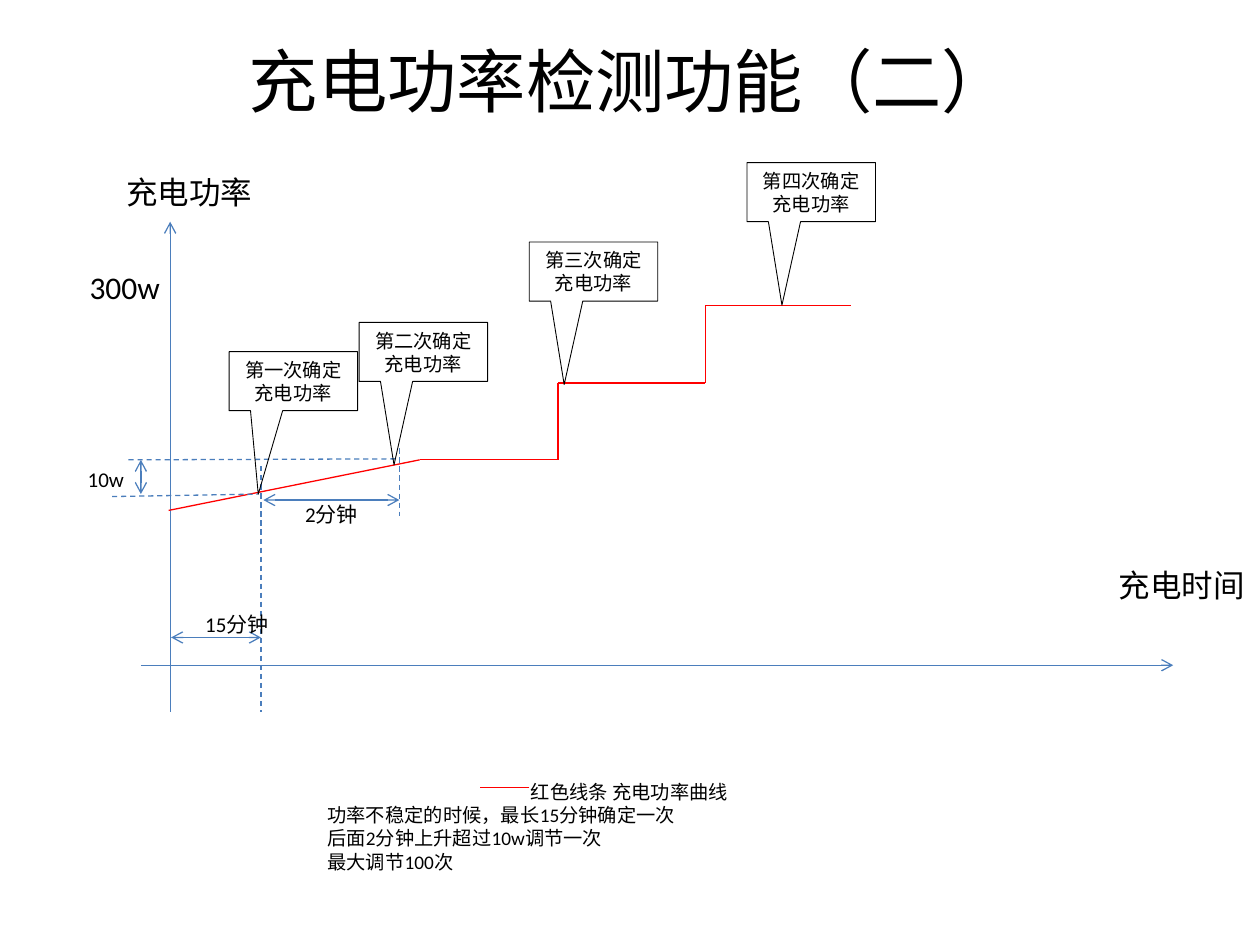
from dataclasses import dataclass
from itertools import pairwise

from lxml import etree
from pptx import Presentation
from pptx.dml.color import RGBColor
from pptx.enum.dml import MSO_LINE
from pptx.enum.shapes import MSO_CONNECTOR, MSO_SHAPE
from pptx.enum.text import MSO_ANCHOR, PP_ALIGN
from pptx.oxml.ns import qn
from pptx.util import Cm, Pt

STRAIGHT = MSO_CONNECTOR.STRAIGHT
CALLOUT = MSO_SHAPE.RECTANGULAR_CALLOUT
DASH = MSO_LINE.DASH
TOP, MIDDLE = MSO_ANCHOR.TOP, MSO_ANCHOR.MIDDLE
LEFT, CENTER = PP_ALIGN.LEFT, PP_ALIGN.CENTER


@dataclass(frozen=True)
class Theme:
    font: str = "Calibri"
    ink: RGBColor = RGBColor(0, 0, 0)
    axis: RGBColor = RGBColor(0x4B, 0x7E, 0xBC)
    curve: RGBColor = RGBColor(0xFF, 0, 0)
    title: float = 39.6
    label: float = 18
    measure: float = 12
    note: float = 11
    stroke: float = 0.75
    outline: float = 0.5


THEME = Theme()


def write_text(shape, text, *, size, align=CENTER, anchor=MIDDLE):
    frame = shape.text_frame
    frame.word_wrap = True
    frame.vertical_anchor = anchor
    frame.text = text
    for para in frame.paragraphs:
        para.alignment = align
        for span in para.runs:
            span.font.name = THEME.font
            span.font.size = Pt(size)
            span.font.color.rgb = THEME.ink


def add_title(page, text):
    title = page.shapes.title
    title.left, title.top, title.width, title.height = map(Cm, (1.27, 0.76, 22.86, 3.18))
    write_text(title, text, size=THEME.title, anchor=TOP)
    title.text_frame.margin_top = 0


def add_label(page, text, place, **style):
    box = page.shapes.add_textbox(*map(Cm, place))
    write_text(box, text, **style)
    return box


def add_line(page, start, end, color=THEME.axis, dashed=False, arrows=()):
    line = page.shapes.add_connector(STRAIGHT, *map(Cm, (*start, *end)))
    line.line.color.rgb = color
    line.line.width = Pt(THEME.stroke)
    if dashed:
        line.line.dash_style = DASH
    stroke = line.line._get_or_add_ln()
    for arrow in arrows:
        etree.SubElement(stroke, qn(f"a:{arrow}End"), type="arrow")
    etree.SubElement(line._element.spPr, qn("a:effectLst"))


def add_callout(page, text, left, top, pointer):
    callout = page.shapes.add_shape(CALLOUT, Cm(left), Cm(top), Cm(2.59), Cm(1.19))
    callout.shadow.inherit = False
    callout.fill.background()
    callout.line.color.rgb = THEME.ink
    callout.line.width = Pt(THEME.outline)
    callout.adjustments[0] = pointer
    callout.adjustments[1] = 1.915
    write_text(callout, text, size=THEME.note)


def add_axes(page):
    add_line(page, (3.43, 14.35), (3.43, 4.47), arrows=("tail",))
    add_line(page, (2.84, 13.41), (23.65, 13.41), arrows=("tail",))
    for text, place in (
        ("充电功率", (2.01, 2.97, 3.61, 1.8)),
        ("充电时间", (22.25, 10.9, 3.15, 1.8)),
        ("300w", (1.32, 4.88, 2.39, 1.8)),
    ):
        add_label(page, text, place, size=THEME.label)


def add_curve(page):
    points = (
        (3.4, 10.29), (8.46, 9.27), (11.25, 9.27), (11.25, 7.72),
        (14.22, 7.72), (14.22, 6.16), (17.15, 6.16),
    )
    for start, end in pairwise(points):
        add_line(page, start, end, THEME.curve)


def add_measures(page):
    for start, end in (
        ((5.26, 9.4), (5.26, 14.35)),
        ((8.05, 9.04), (8.05, 10.41)),
        ((2.59, 9.27), (7.98, 9.25)),
        ((2.26, 10.01), (5.21, 9.96)),
    ):
        add_line(page, start, end, dashed=True)
    for text, left, top, start, end in (
        ("15分钟", 3.58, 11.99, (3.45, 12.85), (5.26, 12.85)),
        ("2分钟", 5.49, 9.78, (5.31, 10.08), (8.05, 10.08)),
        ("10w", 0.94, 9.07, (2.84, 9.96), (2.84, 9.27)),
    ):
        add_line(page, start, end, arrows=("head", "tail"))
        add_label(page, text, (left, top, 2.39, 1.17), size=THEME.measure)


def add_callouts(page):
    for ordinal, left, top, pointer in (
        ("一", 4.62, 7.09, -0.273),
        ("二", 7.24, 6.5, -0.228),
        ("三", 10.67, 4.88, -0.228),
        ("四", 15.06, 3.28, -0.228),
    ):
        add_callout(page, f"第{ordinal}次确定充电功率", left, top, pointer)


def add_legend(page):
    lines = (
        "红色线条 充电功率曲线",
        "功率不稳定的时候，最长15分钟确定一次",
        "后面2分钟上升超过10w调节一次",
        "最大调节100次",
    )
    box = add_label(page, "\n".join(lines), (6.35, 15.47, 14.1, 2.39),
                    size=THEME.note, align=LEFT)
    first = box.text_frame.paragraphs[0]
    first._p.get_or_add_pPr().set("indent", str(Cm(4.1)))
    add_line(page, (10.67, 15.88), (9.68, 15.88), THEME.curve)


def main():
    deck = Presentation()
    deck.slide_width, deck.slide_height = Cm(25.4), Cm(19.05)
    page = deck.slides.add_slide(deck.slide_layouts[5])
    add_title(page, "充电功率检测功能（二）")
    add_axes(page)
    add_curve(page)
    add_measures(page)
    add_callouts(page)
    add_legend(page)
    deck.save("out.pptx")


if __name__ == "__main__":
    main()
